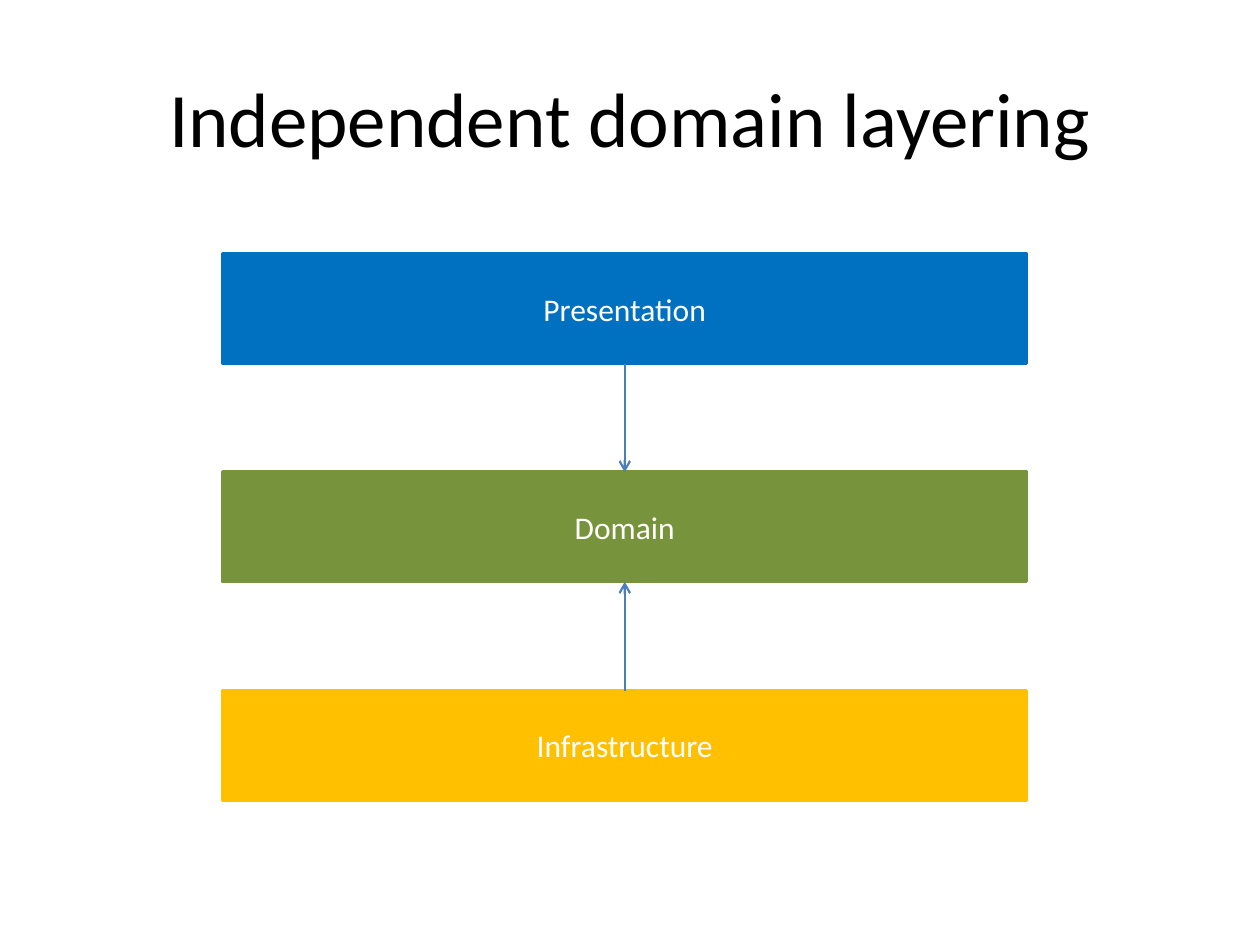
import pptx
import pptx.dml.color
import pptx.enum.shapes
import pptx.enum.text
import pptx.oxml.ns
import pptx.util
from lxml import etree

Pt = pptx.util.Pt
COLORS = {
    "title": "000000",
    "label": "FFFFFF",
    "arrow": "4B7EBC",
    "Presentation": "0070C0",
    "Domain": "77933C",
    "Infrastructure": "FFC000",
}
LAYER_LEFT, LAYER_TOP = 127.4, 145.2
LAYER_WIDTH, LAYER_HEIGHT, LAYER_PITCH = 459.2, 62.6, 124.7
TOP_SITE, BOTTOM_SITE = 0, 2


def rgb(name):
    return pptx.dml.color.RGBColor.from_string(COLORS[name])


def set_text(shape, text, size, color):
    """Write one centred line of Calibri in the middle of the shape."""
    frame = shape.text_frame
    frame.text = text
    frame.word_wrap = True
    frame.vertical_anchor = pptx.enum.text.MSO_ANCHOR.MIDDLE
    paragraph = frame.paragraphs[0]
    paragraph.alignment = pptx.enum.text.PP_ALIGN.CENTER
    font = paragraph.runs[0].font
    font.name = "Calibri"
    font.size = Pt(size)
    font.color.rgb = rgb(color)


deck = pptx.Presentation()
deck.slide_width, deck.slide_height = Pt(720), Pt(540)
slide = deck.slides.add_slide(deck.slide_layouts.get_by_name("Title Only"))

title = slide.shapes.title
title.left, title.top, title.width, title.height = Pt(36), Pt(21.6), Pt(648), Pt(90)
set_text(title, "Independent domain layering", 44, "title")

layers = {}
for row, name in enumerate(["Presentation", "Domain", "Infrastructure"]):
    layer = slide.shapes.add_shape(
        pptx.enum.shapes.MSO_SHAPE.RECTANGLE,
        Pt(LAYER_LEFT), Pt(LAYER_TOP + row * LAYER_PITCH), Pt(LAYER_WIDTH), Pt(LAYER_HEIGHT))
    layer.shadow.inherit = False
    layer.fill.solid()
    layer.fill.fore_color.rgb = rgb(name)
    layer.line.color.rgb = rgb(name)
    layer.line.width = Pt(2)
    set_text(layer, name, 18, "label")
    layers[name] = layer

# Both outer layers depend on the domain
for source, source_site, domain_site in [
    ("Presentation", BOTTOM_SITE, TOP_SITE),
    ("Infrastructure", TOP_SITE, BOTTOM_SITE),
]:
    dependency = slide.shapes.add_connector(
        pptx.enum.shapes.MSO_CONNECTOR.STRAIGHT, Pt(0), Pt(0), Pt(0), Pt(0))
    dependency.begin_connect(layers[source], source_site)
    dependency.end_connect(layers["Domain"], domain_site)
    dependency.line.color.rgb = rgb("arrow")
    dependency.line.width = Pt(1.25)
    line_xml = dependency.line._get_or_add_ln()
    etree.SubElement(line_xml, pptx.oxml.ns.qn("a:tailEnd"), type="arrow")
    etree.SubElement(dependency._element.spPr, pptx.oxml.ns.qn("a:effectLst"))

deck.save("out.pptx")
